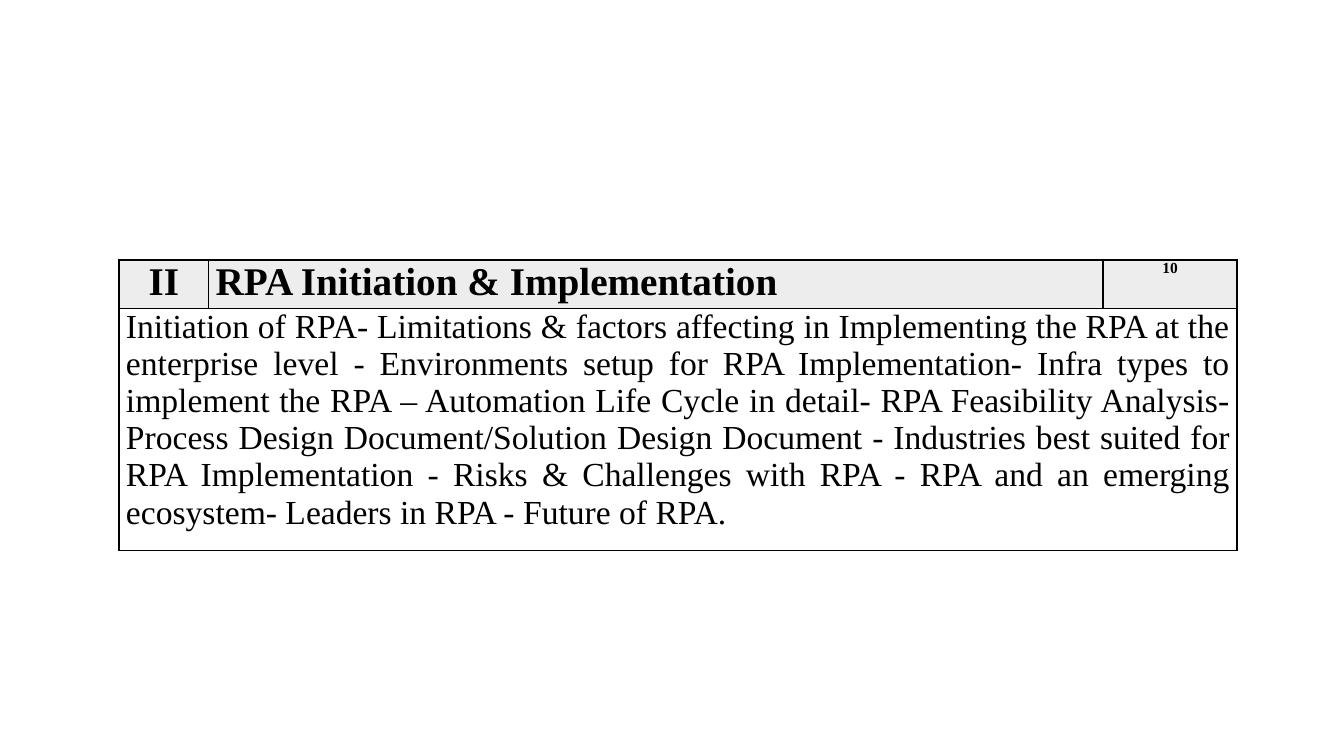
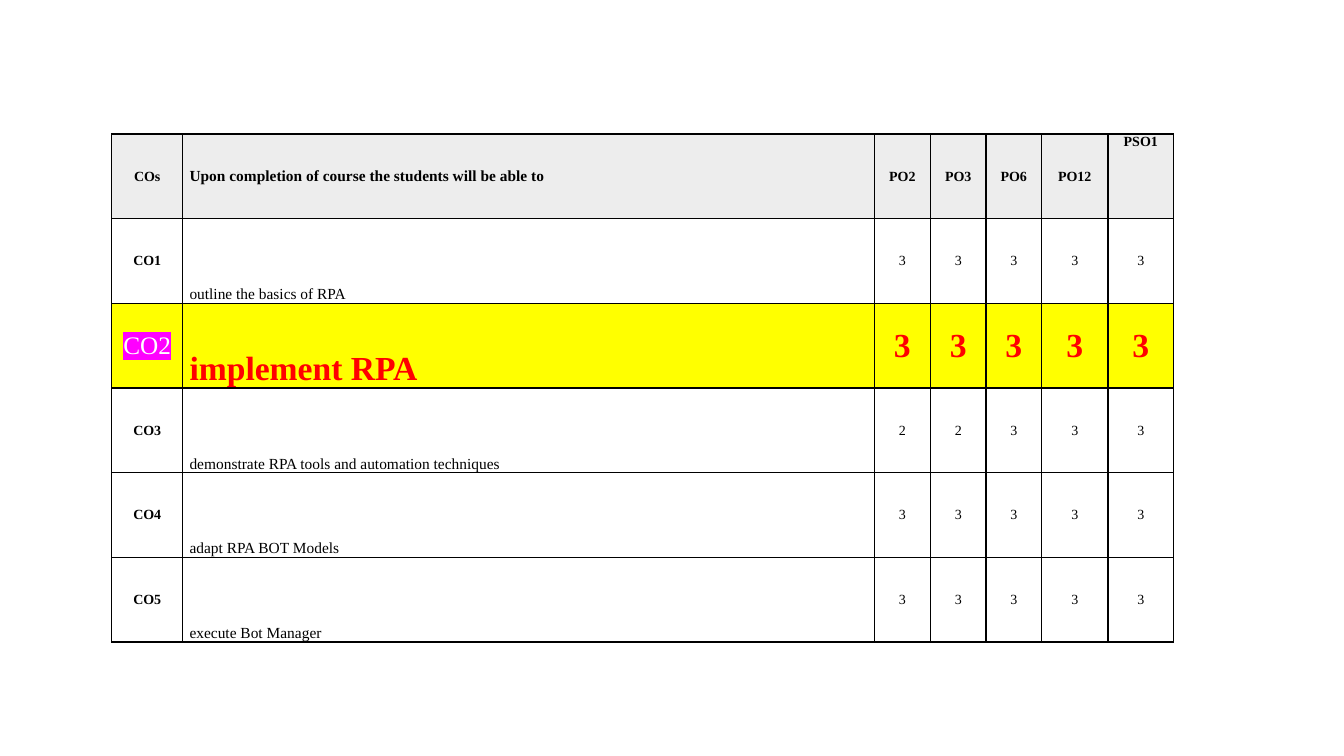
from lxml.etree import SubElement
from pptx import Presentation
from pptx.dml.color import RGBColor
from pptx.enum.text import MSO_ANCHOR, PP_ALIGN
from pptx.oxml.ns import qn
from pptx.util import Inches, Pt

# Shared style
COLORS = {
    "text": "000000",
    "border": "000000",
    "header": "EDEDED",
    "focus_row": "FFFF00",
    "focus_text": "FF0000",
    "tag_text": "FFFFFF",
    "tag": "FF00FF",
}
FONT = "Times New Roman"

# Content
UNIT_TOPICS = (
    "Initiation of RPA- Limitations & factors affecting in Implementing the RPA "
    "at the enterprise level - Environments setup for RPA Implementation- Infra "
    "types to implement the RPA – Automation Life Cycle in detail- RPA Feasibility "
    "Analysis- Process Design Document/Solution Design Document - Industries best "
    "suited for RPA Implementation - Risks & Challenges with RPA - RPA and an "
    "emerging ecosystem- Leaders in RPA - Future of RPA."
)
OUTCOME_HEADER = ["COs", "Upon completion of course the students will be able to",
                  "PO2", "PO3", "PO6", "PO12", "PSO1"]
OUTCOMES = [
    ("CO1", "outline the basics of RPA", "33333"),
    ("CO2", "implement RPA", "33333"),
    ("CO3", "demonstrate RPA tools and automation techniques", "22333"),
    ("CO4", "adapt RPA BOT Models", "33333"),
    ("CO5", "execute Bot Manager", "33333"),
]
FOCUS_OUTCOME = "CO2"


def write_text(cell, text, *, size=10, bold=False, color="text", highlight=None,
               align=PP_ALIGN.CENTER, anchor=MSO_ANCHOR.MIDDLE):
    cell.vertical_anchor = anchor
    paragraph = cell.text_frame.paragraphs[0]
    paragraph.alignment = align
    run = paragraph.add_run()
    run.text = text
    run.font.size = Pt(size)
    run.font.bold = bold
    run.font.color.rgb = RGBColor.from_string(COLORS[color])
    if highlight:
        marker = SubElement(run.font._element, qn("a:highlight"))
        SubElement(marker, qn("a:srgbClr"), val=COLORS[highlight])
    run.font.name = FONT


def add_borders(cell):
    properties = cell._tc.get_or_add_tcPr()
    for side in ("lnL", "lnR", "lnT", "lnB"):
        line = SubElement(properties, qn(f"a:{side}"), w=str(Pt(1)))
        fill = SubElement(line, qn("a:solidFill"))
        SubElement(fill, qn("a:srgbClr"), val=COLORS["border"])


def fill_row(table, row, color):
    for cell in table.rows[row].cells:
        cell.fill.solid()
        cell.fill.fore_color.rgb = RGBColor.from_string(COLORS[color])


def add_grid(slide, left, top, widths, heights):
    """Add a bordered table whose first row has the header fill."""
    table = slide.shapes.add_table(
        len(heights), len(widths), Inches(left), Inches(top),
        Inches(sum(widths)), Inches(sum(heights))).table
    table.first_row = table.horz_banding = False
    for column, width in zip(table.columns, widths):
        column.width = Inches(width)
    for row, height in zip(table.rows, heights):
        row.height = Inches(height)
    for cell in table.iter_cells():
        cell.margin_left = cell.margin_right = Inches(0.07)
        cell.margin_top = cell.margin_bottom = 0
        add_borders(cell)
        cell.fill.background()
    fill_row(table, 0, "header")
    return table


def build_unit_slide(slide):
    unit = add_grid(slide, 1.18, 2.58, [0.89, 8.87, 1.33], [0.48, 2.4])
    top_justified = {"align": PP_ALIGN.JUSTIFY, "anchor": MSO_ANCHOR.TOP}
    write_text(unit.cell(0, 0), "II", size=28, bold=True, anchor=MSO_ANCHOR.TOP)
    write_text(unit.cell(0, 1), "RPA Initiation & Implementation",
               size=28, bold=True, **top_justified)
    write_text(unit.cell(0, 2), "10", size=11, bold=True, anchor=MSO_ANCHOR.TOP)
    unit.cell(1, 0).merge(unit.cell(1, 2))
    write_text(unit.cell(1, 0), UNIT_TOPICS, size=24, **top_justified)


def build_outcomes_slide(slide):
    outcomes = add_grid(slide, 1.11, 1.33,
                        [0.7, 6.86, 0.56, 0.55, 0.55, 0.66, 0.65],
                        [0.84] * (len(OUTCOMES) + 1))
    # Header row
    for column, label in enumerate(OUTCOME_HEADER):
        is_statement, is_last = column == 1, label == "PSO1"
        write_text(outcomes.cell(0, column), label, bold=True,
                   size=11 if is_statement else 10,
                   align=PP_ALIGN.LEFT if is_statement else PP_ALIGN.CENTER,
                   anchor=MSO_ANCHOR.TOP if is_last else MSO_ANCHOR.MIDDLE)
    # Outcome rows
    for row, (code, statement, levels) in enumerate(OUTCOMES, start=1):
        code_style, statement_style, level_style = {"bold": True}, {"size": 11}, {}
        if code == FOCUS_OUTCOME:
            fill_row(outcomes, row, "focus_row")
            code_style = {"size": 18, "color": "tag_text", "highlight": "tag"}
            statement_style = level_style = {
                "size": 24, "bold": True, "color": "focus_text"}
        write_text(outcomes.cell(row, 0), code, **code_style)
        write_text(outcomes.cell(row, 1), statement, align=PP_ALIGN.JUSTIFY,
                   anchor=MSO_ANCHOR.BOTTOM, **statement_style)
        for column, level in enumerate(levels, start=2):
            write_text(outcomes.cell(row, column), level, **level_style)


def main():
    deck = Presentation()
    deck.slide_width, deck.slide_height = Inches(13.33), Inches(7.5)
    blank = deck.slide_layouts[6]
    for build in (build_unit_slide, build_outcomes_slide):
        build(deck.slides.add_slide(blank))
    deck.save("out.pptx")


if __name__ == "__main__":
    main()
